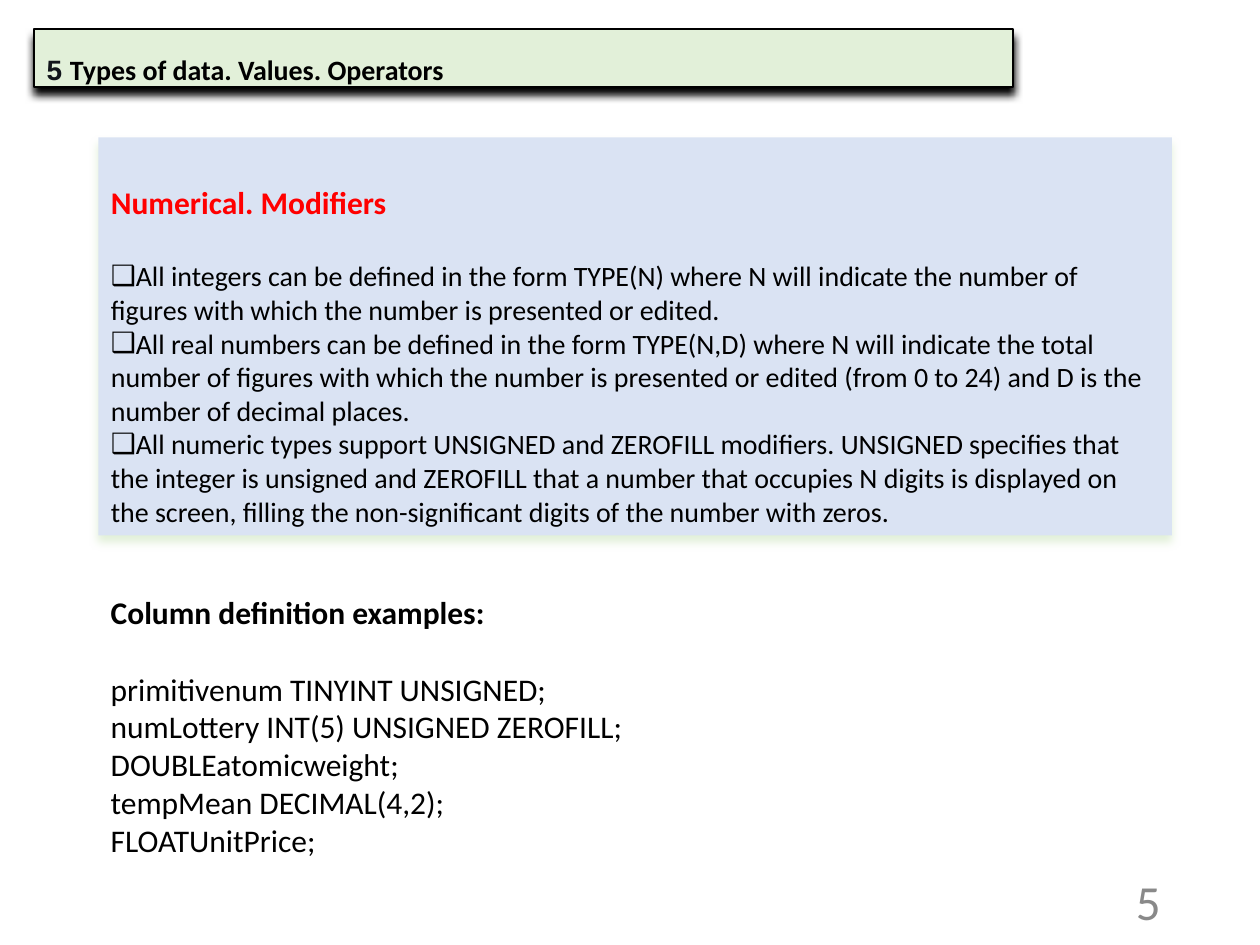
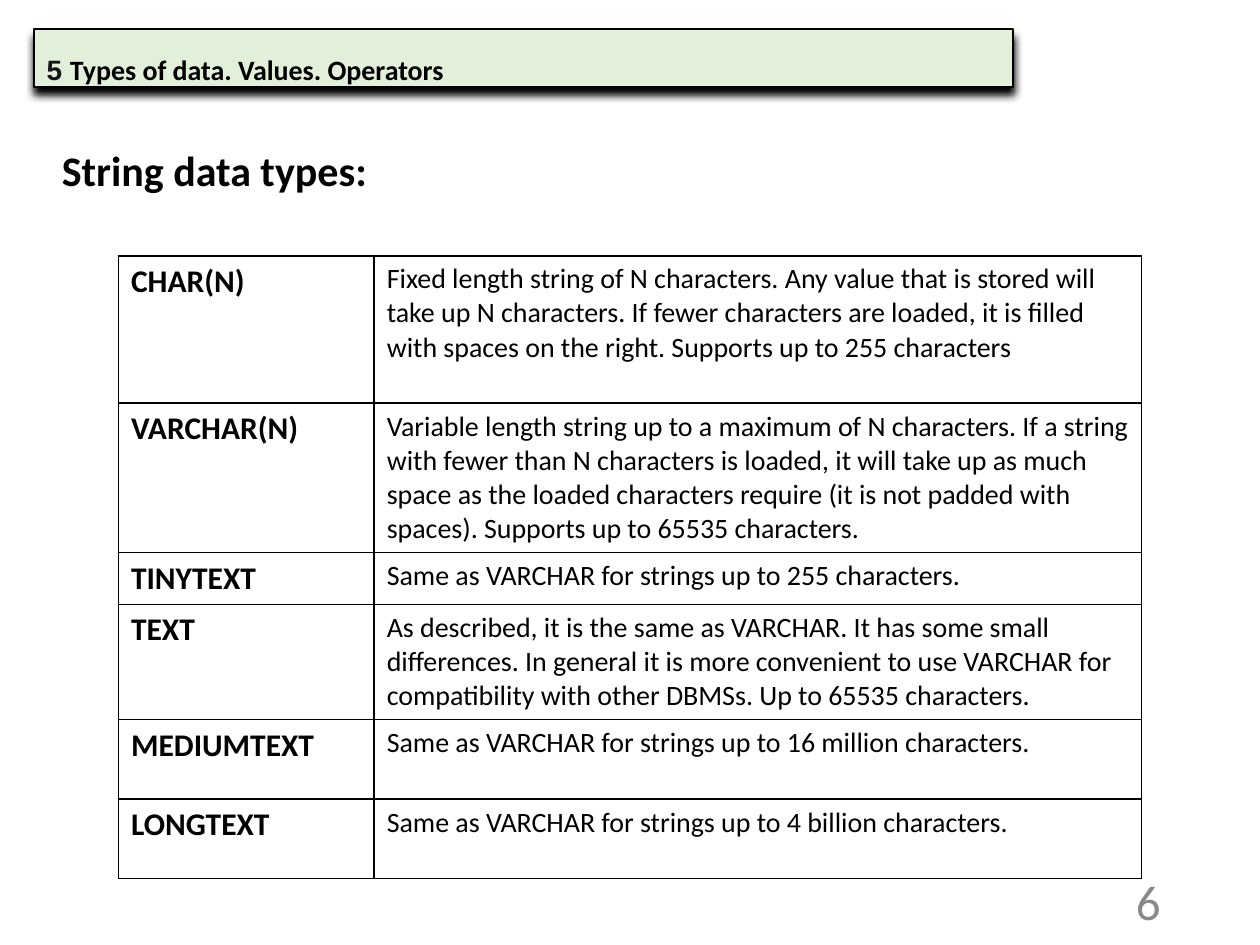
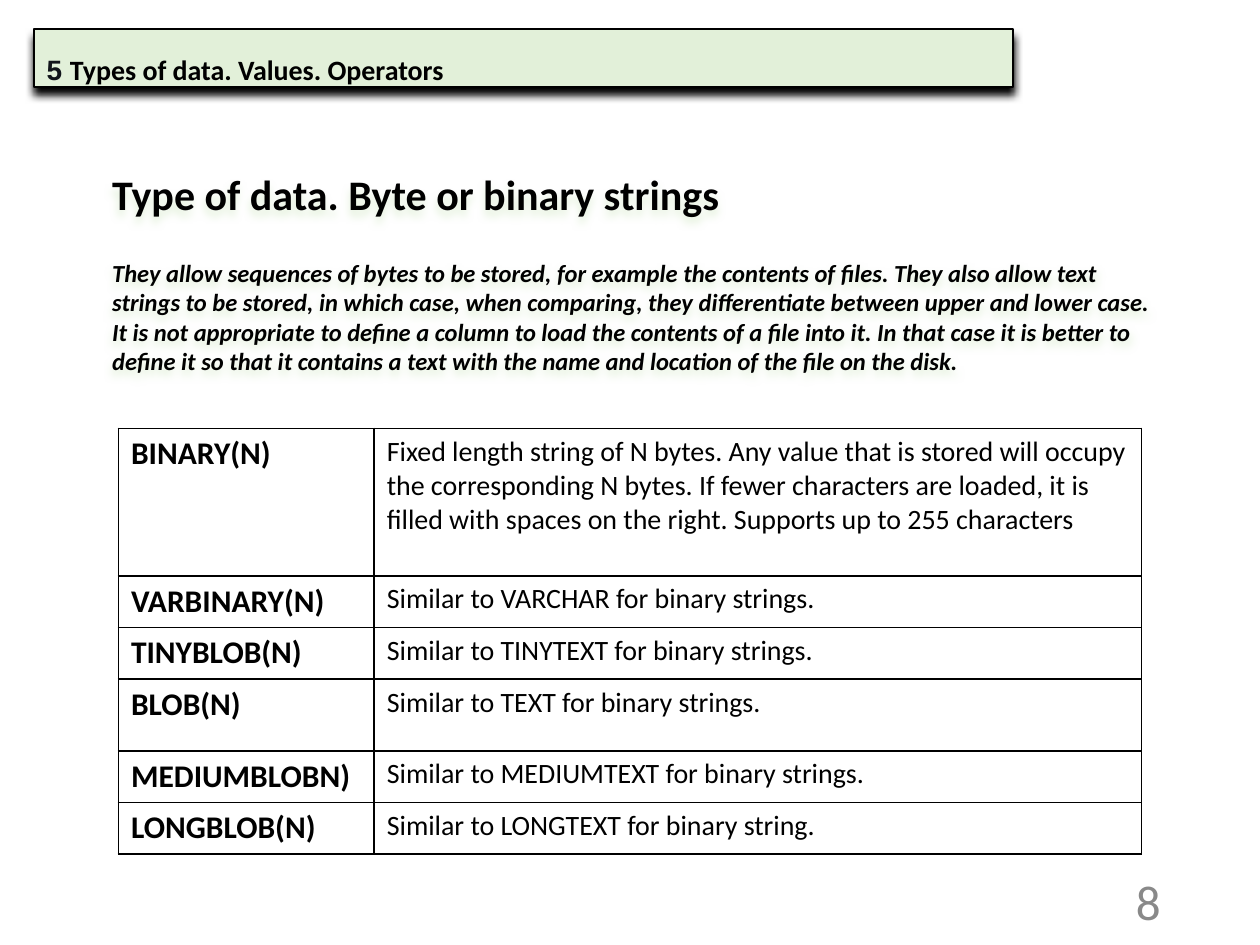
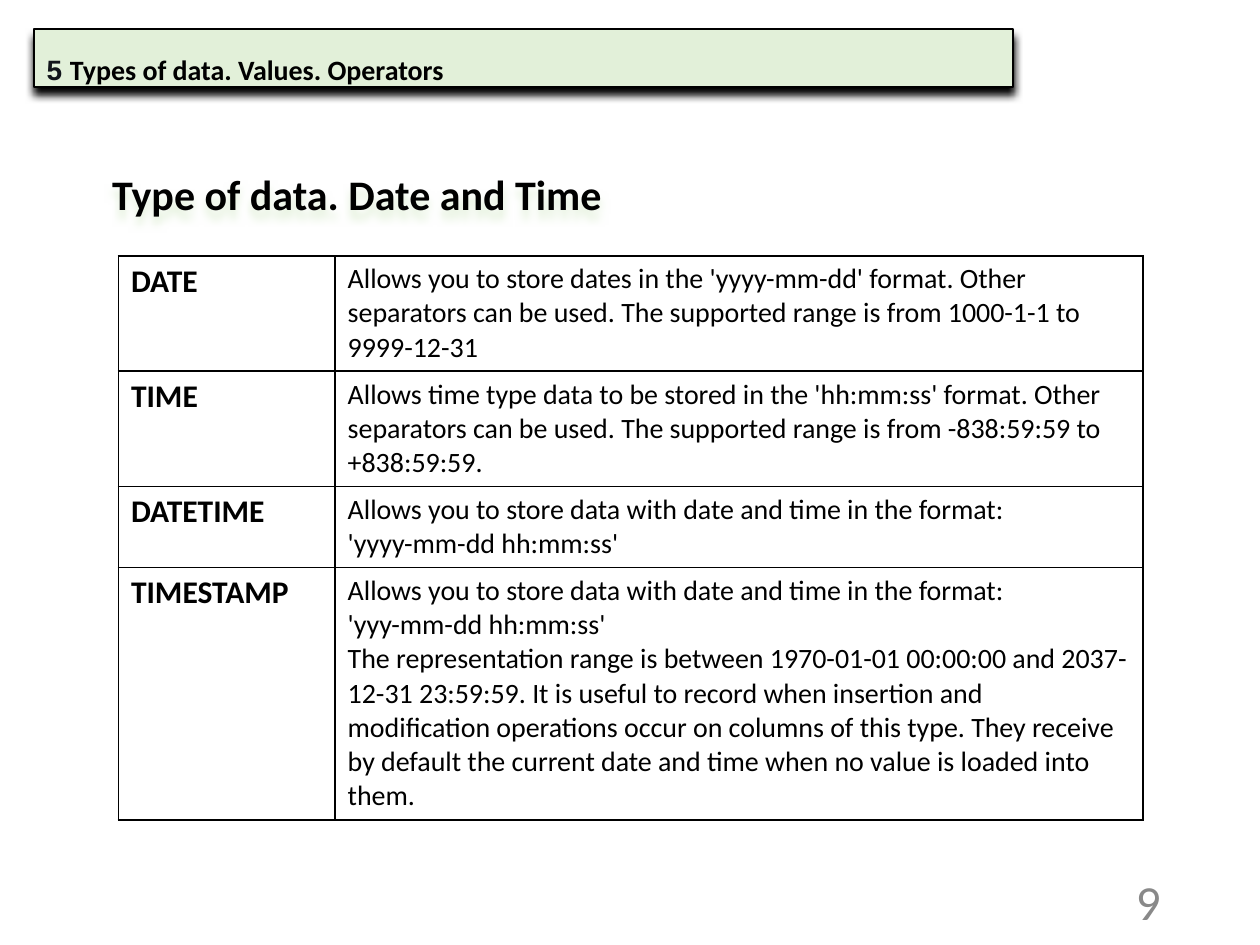
from dataclasses import dataclass, field

from lxml.etree import SubElement
from pptx import Presentation
from pptx.dml.color import RGBColor
from pptx.enum.text import MSO_ANCHOR as Anchor, MSO_AUTO_SIZE as AutoSize, PP_ALIGN as Align
from pptx.oxml.ns import qn
from pptx.util import Emu, Inches, Pt


@dataclass(frozen=True)
class Theme:
    font: str = "Calibri"
    number_font: str = "Arial"
    black: str = "000000"
    chapter_ink: str = "11151A"
    green: str = "E2F0D9"
    blue: str = "DAE3F3"
    red: str = "FF0000"
    gray: str = "898989"
    page_size: int = 28
    heading_size: int = 24
    label_size: int = 18
    text_size: int = 16
    note_size: int = 14
    blank_line: int = 22  # space, in points, of one line of label text


THEME = Theme()
CHAPTER = ("5 ", "Types of data. Values. Operators")
BAND_BOX = (0.27, 0.23, 7.77, 0.46)
PAGE_BOX = (7.06, 6.95, 2.25, 0.4)
TABLE_LEFT = 0.94
LOWERED_TOP = 0.36  # top inset that leaves one line free above the text


@dataclass(frozen=True)
class Line:
    text: str
    size: int = THEME.text_size
    color: str = THEME.black
    bold: bool = False
    italic: bool = False
    bullet: str = ""
    before: int = 0


@dataclass(frozen=True)
class TypeTable:
    """Name and description rows; each row is (height, name, description)."""
    top: float
    columns: tuple
    rows: list = field(default_factory=list)


MODIFIERS = [
    "All integers can be defined in the form TYPE(N) where N will indicate the number of "
    "figures with which the number is presented or edited.",
    "All real numbers can be defined in the form TYPE(N,D) where N will indicate the total "
    "number of figures with which the number is presented or edited (from 0 to 24) and D is "
    "the number of decimal places.",
    "All numeric types support UNSIGNED and ZEROFILL modifiers. UNSIGNED specifies that the "
    "integer is unsigned and ZEROFILL that a number that occupies N digits is displayed on "
    "the screen, filling the non-significant digits of the number with zeros.",
]

COLUMN_EXAMPLES = [
    "primitivenum TINYINT UNSIGNED;",
    "numLottery INT(5) UNSIGNED ZEROFILL;",
    "DOUBLEatomicweight;",
    "tempMean DECIMAL(4,2);",
    "FLOATUnitPrice;",
]

STRING_TYPES = TypeTable(2.03, (2.03, 6.09), [
    (1.17, "CHAR(N)",
     "Fixed length string of N characters. Any value that is stored will take up N "
     "characters. If fewer characters are loaded, it is filled with spaces on the right. "
     "Supports up to 255 characters"),
    (1.17, "VARCHAR(N)",
     "Variable length string up to a maximum of N characters. If a string with fewer than N "
     "characters is loaded, it will take up as much space as the loaded characters require "
     "(it is not padded with spaces). Supports up to 65535 characters."),
    (0.41, "TINYTEXT", "Same as VARCHAR for strings up to 255 characters."),
    (0.9, "TEXT",
     "As described, it is the same as VARCHAR. It has some small differences. In general it "
     "is more convenient to use VARCHAR for compatibility with other DBMSs. Up to 65535 "
     "characters."),
    (0.63, "MEDIUMTEXT", "Same as VARCHAR for strings up to 16 million characters."),
    (0.63, "LONGTEXT", "Same as VARCHAR for strings up to 4 billion characters."),
])

BINARY_NOTE = (
    "They allow sequences of bytes to be stored, for example the contents of files. They also "
    "allow text strings to be stored, in which case, when comparing, they differentiate "
    "between upper and lower case. It is not appropriate to define a column to load the "
    "contents of a file into it. In that case it is better to define it so that it contains a "
    "text with the name and location of the file on the disk."
)

BINARY_TYPES = TypeTable(3.4, (2.03, 6.09), [
    (1.17, "BINARY(N)",
     "Fixed length string of N bytes. Any value that is stored will occupy the corresponding "
     "N bytes. If fewer characters are loaded, it is filled with spaces on the right. "
     "Supports up to 255 characters"),
    (0.41, "VARBINARY(N)", "Similar to VARCHAR for binary strings."),
    (0.41, "TINYBLOB(N)", "Similar to TINYTEXT for binary strings."),
    (0.57, "BLOB(N)", "Similar to TEXT for binary strings."),
    (0.41, "MEDIUMBLOBN)", "Similar to MEDIUMTEXT for binary strings."),
    (0.41, "LONGBLOB(N)", "Similar to LONGTEXT for binary string."),
])

DATE_TYPES = TypeTable(2.03, (1.72, 6.41), [
    (0.9, "DATE",
     "Allows you to store dates in the 'yyyy-mm-dd' format. Other separators can be used. "
     "The supported range is from 1000-1-1 to 9999-12-31"),
    (0.9, "TIME",
     "Allows time type data to be stored in the 'hh:mm:ss' format. Other separators can be "
     "used. The supported range is from -838:59:59 to +838:59:59."),
    (0.63, "DATETIME",
     "Allows you to store data with date and time in the format:\n'yyyy-mm-dd hh:mm:ss'"),
    (1.97, "TIMESTAMP",
     "Allows you to store data with date and time in the format:\n'yyy-mm-dd hh:mm:ss'\n"
     "The representation range is between 1970-01-01 00:00:00 and 2037-12-31 23:59:59. It is "
     "useful to record when insertion and modification operations occur on columns of this "
     "type. They receive by default the current date and time when no value is loaded into "
     "them."),
])


def rgb(color):
    return RGBColor.from_string(color)


def place(shape, box):
    shape.left, shape.top, shape.width, shape.height = map(Inches, box)


def prepare_frame(text_frame, top_inset=0.05, anchor=Anchor.TOP):
    text_frame.word_wrap = True
    text_frame.auto_size = AutoSize.NONE
    text_frame.vertical_anchor = anchor
    text_frame.margin_left = text_frame.margin_right = Inches(0.1)
    text_frame.margin_top, text_frame.margin_bottom = Inches(top_inset), Inches(0.05)


def style_run(run, size, color, bold=False, italic=False, font=THEME.font):
    run.font.name, run.font.size = font, Pt(size)
    run.font.bold, run.font.italic = bold, italic
    run.font.color.rgb = rgb(color)


def set_indent(paragraph, left, first_line):
    properties = paragraph._p.get_or_add_pPr()
    properties.set("marL", str(Inches(left)))
    properties.set("indent", str(Inches(first_line)))
    return properties


def set_bullet(paragraph, bullet):
    properties = set_indent(paragraph, 0, -0.11 if bullet else 0)
    if bullet:
        bullet_color = SubElement(properties, qn("a:buClr"))
        SubElement(bullet_color, qn("a:srgbClr"), val=THEME.black)
        SubElement(properties, qn("a:buChar"), char=bullet)
    else:
        SubElement(properties, qn("a:buNone"))


def write_lines(text_frame, lines):
    text_frame.text = "\n".join(line.text for line in lines)
    for paragraph, line in zip(text_frame.paragraphs, lines):
        paragraph.alignment = Align.LEFT
        paragraph.space_before = Pt(line.before)
        set_bullet(paragraph, line.bullet)
        for run in paragraph.runs:
            style_run(run, line.size, line.color, line.bold, line.italic)


def add_shadow(shape, color):
    shape.shadow.inherit = False
    effects = shape._element.spPr.find(qn("a:effectLst"))
    shadow = SubElement(effects, qn("a:outerShdw"), blurRad=str(Pt(5)), dist=str(Pt(4)),
                        dir="5400000", rotWithShape="0")
    SubElement(shadow, qn("a:srgbClr"), val=color)


def fill_band(title):
    """Turn the title placeholder into the chapter band."""
    place(title, BAND_BOX)
    title.fill.solid()
    title.fill.fore_color.rgb = rgb(THEME.green)
    title.line.color.rgb = rgb(THEME.black)
    title.line.width = Pt(0.75)
    add_shadow(title, THEME.black)
    prepare_frame(title.text_frame)
    paragraph = title.text_frame.paragraphs[0]
    paragraph.alignment, paragraph.line_spacing = Align.LEFT, 1.5
    set_indent(paragraph, 0.5, -0.5)
    looks = ((THEME.chapter_ink, THEME.number_font), (THEME.black, THEME.font))
    for text, (color, font) in zip(CHAPTER, looks):
        run = paragraph.add_run()
        run.text = text
        style_run(run, THEME.text_size, color, bold=True, font=font)


def add_page_number(slide, number):
    box = slide.shapes.add_textbox(*map(Inches, PAGE_BOX))
    prepare_frame(box.text_frame, anchor=Anchor.MIDDLE)
    write_lines(box.text_frame, [Line(str(number), THEME.page_size, THEME.gray)])
    box.text_frame.paragraphs[0].alignment = Align.RIGHT


def add_chapter_slide(presentation, number, body_box, lines):
    """Add a slide with band, page number and body text; return slide and body."""
    slide = presentation.slides.add_slide(presentation.slide_layouts[1])
    fill_band(slide.shapes.title)
    add_page_number(slide, number)
    body = slide.placeholders[1]
    place(body, body_box)
    prepare_frame(body.text_frame, LOWERED_TOP)
    write_lines(body.text_frame, lines)
    return slide, body


def set_borders(cell):
    properties = cell._tc.get_or_add_tcPr()
    for side in ("lnL", "lnR", "lnT", "lnB"):
        border = SubElement(properties, qn(f"a:{side}"), w=str(Pt(1)))
        SubElement(SubElement(border, qn("a:solidFill")), qn("a:srgbClr"), val=THEME.black)


def add_type_table(slide, content):
    heights = [Inches(row[0]) for row in content.rows]
    widths = [Inches(width) for width in content.columns]
    table = slide.shapes.add_table(len(heights), len(widths), Inches(TABLE_LEFT),
                                   Inches(content.top), Emu(sum(widths)),
                                   Emu(sum(heights))).table
    table.first_row = table.horz_banding = False
    for column, width in zip(table.columns, widths):
        column.width = width
    for row, height, (_, name, description) in zip(table.rows, heights, content.rows):
        row.height = height
        texts = ([Line(name, THEME.label_size, bold=True)],
                 [Line(text) for text in description.split("\n")])
        for cell, lines in zip(row.cells, texts):
            set_borders(cell)
            cell.fill.background()
            write_lines(cell.text_frame, lines)


def heading(text):
    return Line(text, THEME.heading_size, bold=True)


def add_modifiers_slide(presentation):
    gap = THEME.blank_line
    bullets = [Line(text, bullet="❑", before=0 if index else gap)
               for index, text in enumerate(MODIFIERS)]
    title = Line("Numerical. Modifiers", THEME.label_size, THEME.red, bold=True)
    slide, panel = add_chapter_slide(presentation, 5, (0.78, 1.09, 8.52, 3.16),
                                     [title, *bullets])
    panel.fill.solid()
    panel.fill.fore_color.rgb = rgb(THEME.blue)
    add_shadow(panel, THEME.green)

    examples = slide.shapes.add_textbox(*map(Inches, (0.78, 4.66, 8.52, 2.22)))
    prepare_frame(examples.text_frame)
    write_lines(examples.text_frame, [
        Line("Column definition examples:", THEME.label_size, bold=True),
        *(Line(text, THEME.label_size, before=0 if index else gap)
          for index, text in enumerate(COLUMN_EXAMPLES)),
    ])


def main():
    presentation = Presentation()
    presentation.slide_width, presentation.slide_height = Inches(10), Inches(7.5)

    add_modifiers_slide(presentation)

    slide, _ = add_chapter_slide(presentation, 6, (0.39, 0.79, 9.3, 1.55),
                                 [heading("String data types:")])
    add_type_table(slide, STRING_TYPES)

    note = Line(BINARY_NOTE, THEME.note_size, bold=True, italic=True, before=THEME.blank_line)
    slide, body = add_chapter_slide(presentation, 8, (0.79, 0.98, 8.52, 5.99),
                                    [heading("Type of data. Byte or binary strings"), note])
    add_shadow(body, THEME.green)
    add_type_table(slide, BINARY_TYPES)

    slide, body = add_chapter_slide(presentation, 9, (0.79, 0.98, 8.52, 1.41),
                                    [heading("Type of data. Date and Time")])
    add_shadow(body, THEME.green)
    add_type_table(slide, DATE_TYPES)

    presentation.save("out.pptx")


if __name__ == "__main__":
    main()
